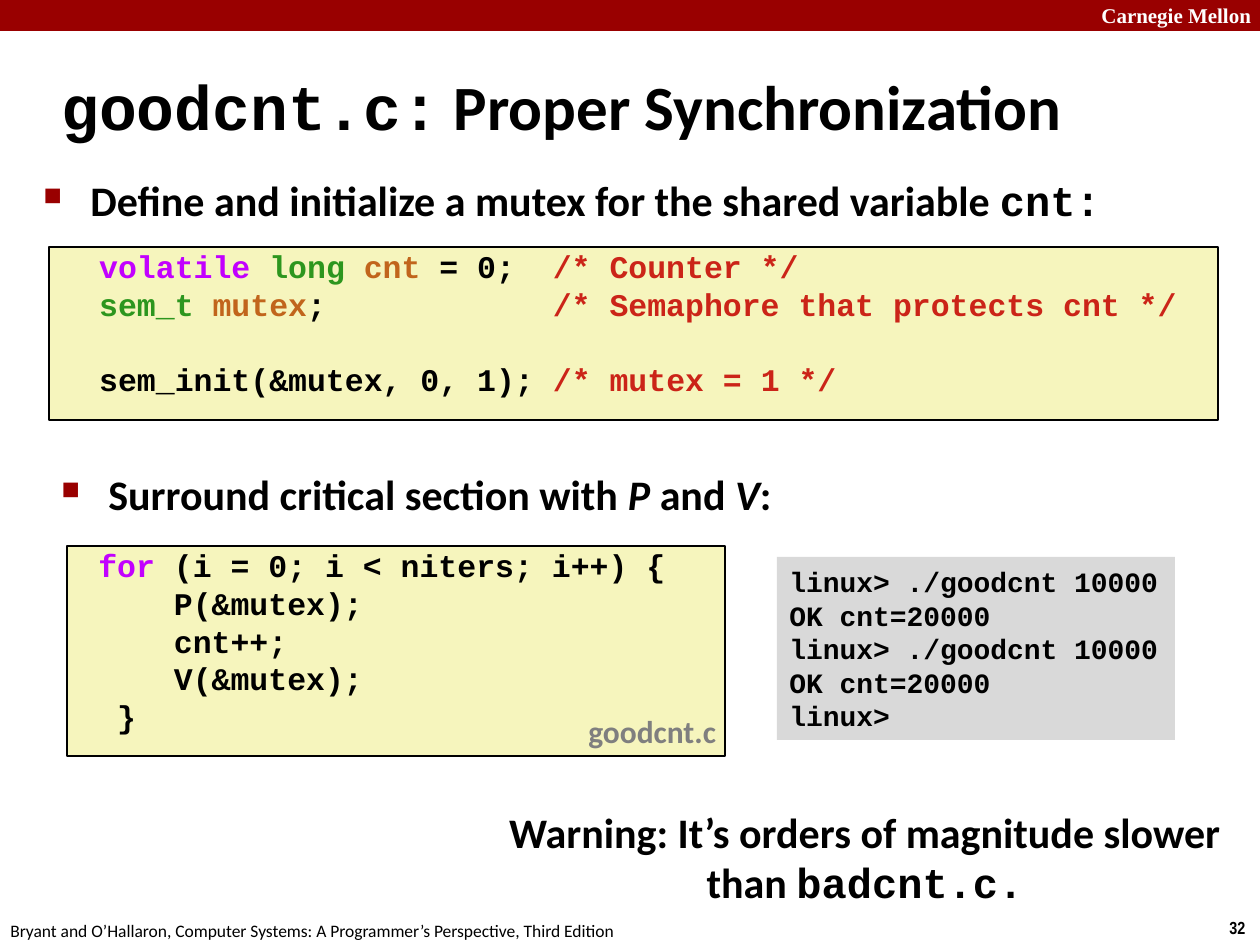
"""Build the slide on proper synchronization with a mutex."""
from dataclasses import dataclass

from lxml import etree
from pptx import Presentation
from pptx import util as u
from pptx.dml.color import RGBColor
from pptx.enum import shapes, text
from pptx.oxml.ns import qn

EMU_PER_PX = 914400 / 126


@dataclass(frozen=True)
class Theme:
    """Colours, fonts and type sizes."""
    red: str = "990000"
    white: str = "FFFFFF"
    black: str = "000000"
    gray: str = "7F7F7F"
    code_fill: str = "F6F5BD"
    shell_fill: str = "D9D9D9"
    keyword: str = "C200FF"
    type_name: str = "2D961E"
    variable: str = "C1651C"
    comment: str = "CB2418"
    sans: str = "Calibri"
    mono: str = "Courier New"
    serif: str = "Times New Roman"
    narrow: str = "Arial Narrow"
    title: int = 36
    body: int = 24
    code: int = 18
    shell: int = 16
    header: int = 12
    footer: int = 10


T = Theme()
MONO = {"font": T.mono}
ITALIC = {"italic": True}
KEYWORD, TYPE, VARIABLE, COMMENT = (
    {"color": color} for color in (T.keyword, T.type_name, T.variable, T.comment))

BANNER = (0, 0, 1260, 31)
LABELS = [
    ((1089, -4, 180, 38), [("Carnegie Mellon", {})],
     {"size": T.header, "font": T.serif, "color": T.white}, {}),
    ((1217, 911, 43, 34), [("32", {})],
     {"size": T.footer, "font": T.narrow}, {"wrap": False}),
    ((-2, 914, 640, 34),
     [("Bryant and O’Hallaron, Computer Systems: A Programmer’s Perspective, Third Edition", {})],
     {"size": T.footer, "bold": False}, {"wrap": False}),
    ((49, 53, 1046, 105), [("goodcnt.c:", MONO), (" Proper Synchronization", {})],
     {"size": T.title}, {"anchor": text.MSO_ANCHOR.MIDDLE, "hanging": 16}),
    ((31, 168, 1145, 63),
     [("Define and initialize a mutex for the shared variable ", {}), ("cnt:", MONO)],
     {}, {"hanging": 47, "bullet": True}),
    ((49, 462, 1145, 63),
     [("Surround critical section with ", {}), ("P", ITALIC), (" and ", {}),
      ("V", ITALIC), (":", {})],
     {}, {"hanging": 47, "bullet": True}),
    ((494, 800, 742, 115),
     [("Warning: It’s orders of magnitude slower than ", {}), ("badcnt.c.", MONO)],
     {}, {"align": text.PP_ALIGN.CENTER}),
]
FILE_LABEL = ((576, 706, 155, 50), [("goodcnt.c", {})],
              {"size": T.code, "color": T.gray}, {"wrap": False})

DECLARATIONS = [
    [("  ", {}), ("volatile ", KEYWORD), ("long ", TYPE), ("cnt", VARIABLE),
     (" = 0;  ", {}), ("/* Counter */", COMMENT)],
    [("  ", {}), ("sem_t ", TYPE), ("mutex", VARIABLE), (";            ", {}),
     ("/* Semaphore that protects cnt */", COMMENT)],
    [(" ", {})],
    [("  sem_init(&mutex, 0, 1); ", {}), ("/* mutex = 1 */", COMMENT)],
]
LOOP = [
    [(" ", {}), ("for", KEYWORD), (" (i = 0; i < niters; i++) {", {})],
    [("     P(&mutex);", {})],
    [("     cnt++;", {})],
    [("     V(&mutex);", {})],
    [("  }", {})],
]
RUN = ["linux> ./goodcnt 10000", "OK cnt=20000"]
SESSION = [[(line, {})] for line in RUN * 2 + ["linux>"]]
CODE_BOXES = [((49, 247, 1169, 173), DECLARATIONS), ((67, 546, 658, 210), LOOP)]
SHELL_BOX = (777, 557, 398, 183)


def px(length):
    return u.Emu(round(length * EMU_PER_PX))


def add_lines(frame, lines, base):
    for index, runs in enumerate(lines):
        paragraph = frame.paragraphs[0] if index == 0 else frame.add_paragraph()
        paragraph.alignment = text.PP_ALIGN.LEFT
        for words, changes in runs:
            style = {"size": T.body, "font": T.sans, "color": T.black,
                     "bold": True, "italic": False, **base, **changes}
            run = paragraph.add_run()
            run.text = words
            run.font.name = style["font"]
            run.font.size = u.Pt(style["size"])
            run.font.bold = style["bold"]
            run.font.italic = style["italic"]
            run.font.color.rgb = RGBColor.from_string(style["color"])


def add_hanging_indent(paragraph, indent, bullet):
    properties = paragraph._p.get_or_add_pPr()
    properties.set("marL", str(px(indent)))
    properties.set("indent", str(-px(indent)))
    if bullet:
        color = etree.SubElement(properties, qn("a:buClr"))
        etree.SubElement(color, qn("a:srgbClr"), val=T.red)
        etree.SubElement(properties, qn("a:buSzPct"), val="60000")
        etree.SubElement(properties, qn("a:buChar"), char="■")


def add_label(slide, box, runs, base, layout):
    frame = slide.shapes.add_textbox(*map(px, box)).text_frame
    frame.word_wrap = layout.get("wrap", True)
    frame.vertical_anchor = layout.get("anchor", text.MSO_ANCHOR.TOP)
    add_lines(frame, [runs], base)
    paragraph = frame.paragraphs[0]
    paragraph.alignment = layout.get("align", text.PP_ALIGN.LEFT)
    if "hanging" in layout:
        add_hanging_indent(paragraph, layout["hanging"], layout.get("bullet", False))


def add_panel(slide, box, fill, outlined=False):
    shape = slide.shapes.add_shape(shapes.MSO_SHAPE.RECTANGLE, *map(px, box))
    shape.shadow.inherit = False
    shape.fill.solid()
    shape.fill.fore_color.rgb = RGBColor.from_string(fill)
    if outlined:
        shape.line.color.rgb = RGBColor.from_string(T.black)
        shape.line.width = u.Pt(1)
    else:
        shape.line.fill.background()
    return shape


def main():
    presentation = Presentation()
    presentation.slide_width, presentation.slide_height = px(1260), px(945)
    slide = presentation.slides.add_slide(presentation.slide_layouts[6])

    add_panel(slide, BANNER, T.red)
    for label in LABELS:
        add_label(slide, *label)
    for box, lines in CODE_BOXES:
        frame = add_panel(slide, box, T.code_fill, outlined=True).text_frame
        frame.margin_top = frame.margin_bottom = 0
        frame.vertical_anchor = text.MSO_ANCHOR.TOP
        add_lines(frame, lines, {"size": T.code, "font": T.mono})
    frame = add_panel(slide, SHELL_BOX, T.shell_fill).text_frame
    frame.word_wrap = False
    frame.vertical_anchor = text.MSO_ANCHOR.MIDDLE
    add_lines(frame, SESSION, {"size": T.shell, "font": T.mono})
    add_label(slide, *FILE_LABEL)

    presentation.save("out.pptx")


if __name__ == "__main__":
    main()
